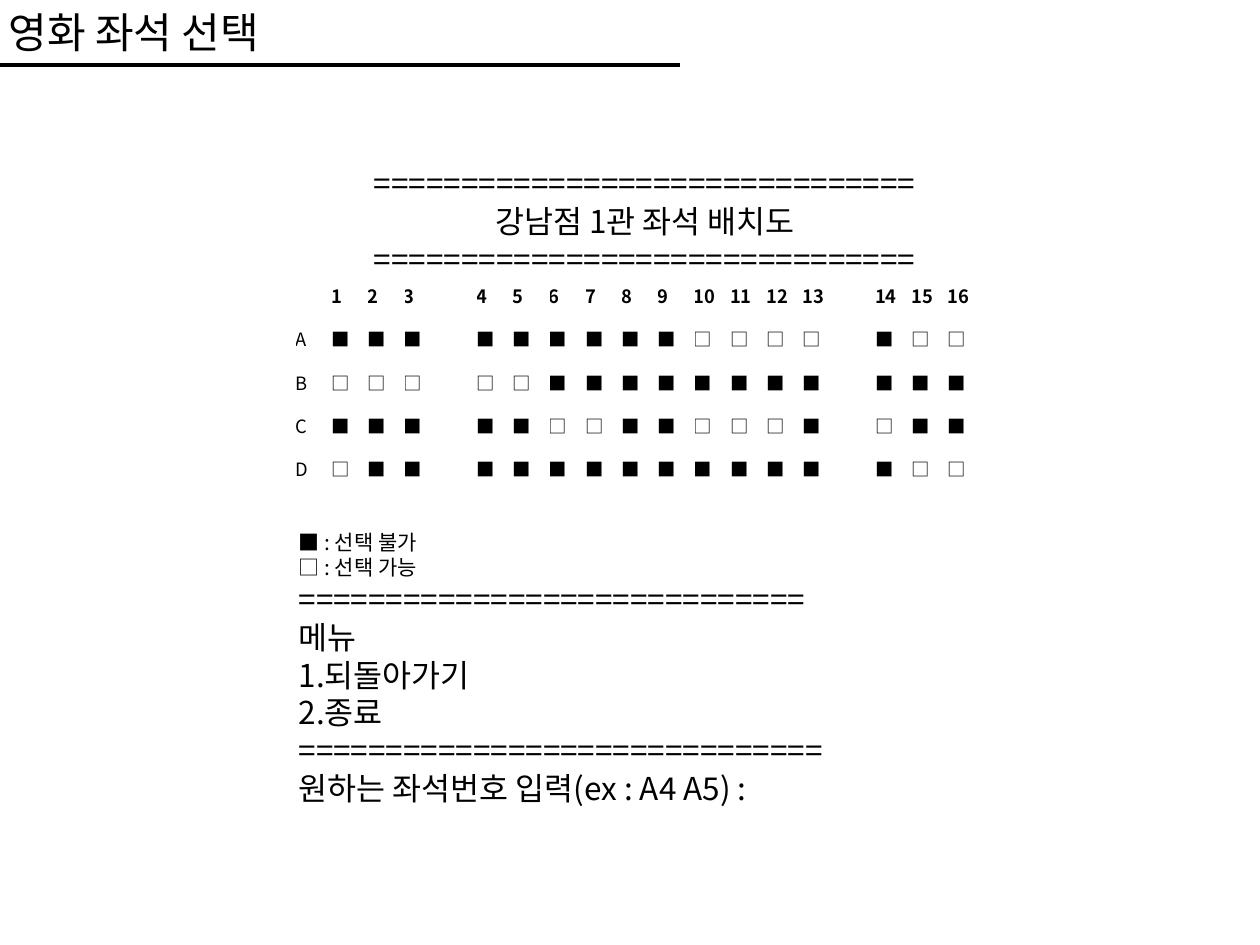
from lxml import etree
from pptx import Presentation
from pptx.dml.color import RGBColor
from pptx.enum.shapes import MSO_CONNECTOR
from pptx.enum.text import MSO_ANCHOR, MSO_AUTO_SIZE, PP_ALIGN
from pptx.oxml.ns import qn
from pptx.util import Pt

PX = 914400 // 126
FONT = "Noto Sans CJK KR"
COLORS = {"ink": "000000"}
LEFT, MID = PP_ALIGN.LEFT, PP_ALIGN.CENTER
TOP, CENTER = MSO_ANCHOR.TOP, MSO_ANCHOR.MIDDLE
STRAIGHT, FIXED = MSO_CONNECTOR.STRAIGHT, MSO_AUTO_SIZE.NONE


def write(para, text, size=18, bold=False, align=LEFT, before=0, pitch=None):
    para.alignment = align
    para.space_before = Pt(before)
    if pitch:
        para.line_spacing = Pt(pitch)
    if not text:
        para._p.get_or_add_endParaRPr().set("sz", str(int(size * 100)))
        return
    run = para.add_run()
    run.text = text
    font = run.font
    font.size, font.bold, font.name = Pt(size), bold, FONT
    font.color.rgb = RGBColor.from_string(COLORS["ink"])
    east = etree.SubElement(font._element, qn("a:ea"))
    east.set("typeface", FONT)


def place(shape, x, y, w, h, anchor):
    shape.left, shape.top = x * PX, y * PX
    shape.width, shape.height = w * PX, h * PX
    frame = shape.text_frame
    frame.word_wrap, frame.auto_size = True, FIXED
    frame.vertical_anchor = anchor
    return frame


deck = Presentation()
deck.slide_width, deck.slide_height = 1260 * PX, 945 * PX
slide = deck.slides.add_slide(deck.slide_layouts[1])
title, body = slide.placeholders

# Title and rule
frame = place(title, -4, 0, 789, 63, CENTER)
write(frame.paragraphs[0], "영화 좌석 선택", size=24)
rule = slide.shapes.add_connector(STRAIGHT, 0, 65 * PX, 680 * PX, 65 * PX)
rule.line.width = Pt(1.75)
rule.line.color.rgb = RGBColor.from_string(COLORS["ink"])
etree.SubElement(rule._element.spPr, qn("a:effectLst"))

# Heading, legend and menu; the space above the legend holds the seats
lines = [
    ("=" * 31, 18, MID, 0),
    ("강남점 1관 좌석 배치도", 18, MID, 0),
    ("=" * 31, 18, MID, 0),
    ("■ : 선택 불가", 12, LEFT, 144),
    ("□ : 선택 가능", 12, LEFT, 0),
    ("=" * 29, 18, LEFT, 0),
    ("메뉴", 18, LEFT, 0),
    ("1.되돌아가기", 18, LEFT, 0),
    ("2.종료", 18, LEFT, 0),
    ("=" * 30, 18, LEFT, 0),
    ("원하는 좌석번호 입력(ex : A4 A5) :", 18, LEFT, 0),
]
frame = place(body, 286, 158, 718, 699, TOP)
for i, (text, size, align, before) in enumerate(lines):
    para = frame.add_paragraph() if i else frame.paragraphs[0]
    write(para, text, size=size, align=align, before=before, pitch=size * 1.2)
    props = para._p.get_or_add_pPr()
    props.set("marL", "0")
    props.set("indent", "0")
    etree.SubElement(props, qn("a:buNone"))

# Seat plan: a space marks an aisle
seats = {
    "A": "■■■ ■■■■■■□□□□ ■□□",
    "B": "□□□ □□■■■■■■■■ ■■■",
    "C": "■■■ ■■□□■■□□□■ □■■",
    "D": "□■■ ■■■■■■■■■■ ■□□",
}
nums = [str(n) for n in range(1, 17)]
head = ["", *nums[:3], "", *nums[3:13], "", *nums[13:]]
rows = [head] + [[name, *marks.replace(" ", "-")] for name, marks in seats.items()]
wide, high = 689 * PX, 217 * PX
grid = slide.shapes.add_table(len(rows), len(head), 295 * PX, 276 * PX, wide, high).table
for col in grid.columns:
    col.width = wide // len(head)
for r, row in enumerate(rows):
    grid.rows[r].height = high // len(rows)
    for c, text in enumerate(row):
        cell = grid.cell(r, c)
        cell.fill.background()
        cell.margin_left = cell.margin_right = 0
        write(cell.text_frame.paragraphs[0], text.strip("-"), size=10.5, bold=r == 0)

deck.save("out.pptx")
